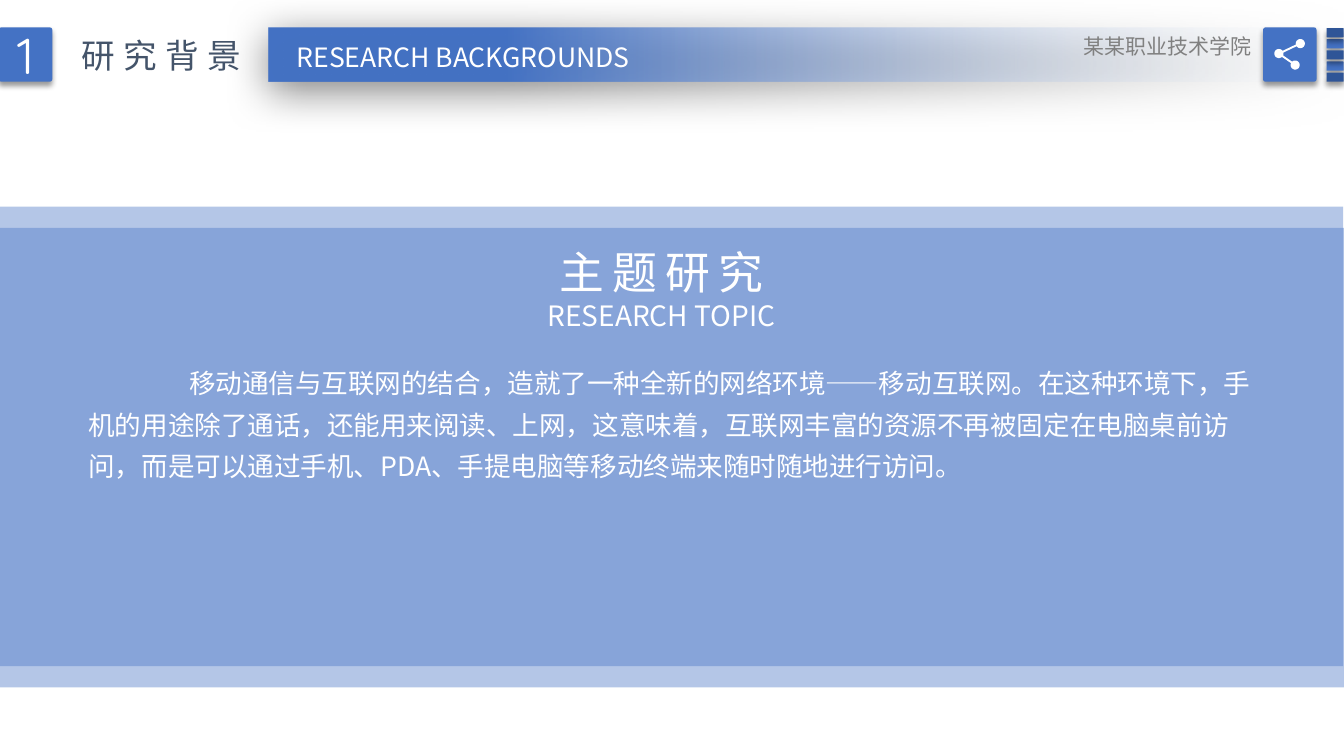
from dataclasses import dataclass
from math import cos, radians, sin

from lxml.etree import SubElement
from pptx import Presentation
from pptx.dml.color import RGBColor
from pptx.enum.shapes import MSO_SHAPE
from pptx.enum.text import MSO_ANCHOR, PP_ALIGN
from pptx.oxml.ns import qn
from pptx.util import Cm, Pt


@dataclass(frozen=True)
class Theme:
    blue: str = "4472C4"
    dark_blue: str = "2F5597"
    pale: str = "F7FAFD"
    slate: str = "44546A"
    gray: str = "808080"
    white: str = "FFFFFF"
    black: str = "000000"
    font: str = "Noto Sans CJK SC"
    number_font: str = "Quicksand"
    number_size: float = 36
    topic_size: float = 32
    title_size: float = 24
    subtitle_size: float = 20
    body_size: float = 19
    small_size: float = 15


THEME = Theme()
BODY = (
    "移动通信与互联网的结合，造就了一种全新的网络环境——移动互联网。"
    "在这种环境下，手机的用途除了通话，还能用来阅读、上网，这意味着，"
    "互联网丰富的资源不再被固定在电脑桌前访问，"
    "而是可以通过手机、PDA、手提电脑等移动终端来随时随地进行访问。"
)


def set_alpha(color_element, percent):
    SubElement(color_element, qn("a:alpha")).set("val", str(percent * 1000))


def add_shadow(shape, alpha, blur, distance, angle):
    effects = SubElement(shape._element.spPr, qn("a:effectLst"))
    shadow = SubElement(effects, qn("a:outerShdw"), {
        "blurRad": str(Pt(blur)), "dist": str(Pt(distance)),
        "dir": str(angle * 60000), "algn": "t", "rotWithShape": "0"})
    set_alpha(SubElement(shadow, qn("a:srgbClr"), val=THEME.black), alpha)


def fill_plain(shape, color):
    shape.fill.solid()
    shape.fill.fore_color.rgb = RGBColor.from_string(color)
    shape.line.fill.background()


def add_panel(slide, left, top):
    """Add one of the two translucent bands that overlap behind the text."""
    panel = slide.shapes.add_shape(
        MSO_SHAPE.RECTANGLE, Cm(left), Cm(top), Cm(33.88), Cm(11.58))
    panel.shadow.inherit = False
    fill_plain(panel, THEME.blue)
    set_alpha(panel._element.spPr.find(qn("a:solidFill"))[0], 40)


def add_header_bar(slide):
    bar = slide.shapes.add_shape(
        MSO_SHAPE.RECTANGLE, Cm(6.78), Cm(0.71), Cm(27.1), Cm(1.35))
    bar.fill.gradient()
    bar.fill.gradient_angle = 180
    stops = bar.fill.gradient_stops
    for stop, color, position in zip(stops, (THEME.pale, THEME.blue), (0, 0.78)):
        stop.color.rgb = RGBColor.from_string(color)
        stop.position = position
    set_alpha(bar._element.spPr.find(".//" + qn("a:srgbClr")), 0)
    bar.line.fill.background()
    add_shadow(bar, 50, 31, 6, 97)


def add_tile(slide, left, top, width, height, color):
    tile = slide.shapes.add_shape(
        MSO_SHAPE.ROUNDED_RECTANGLE, Cm(left), Cm(top), Cm(width), Cm(height))
    tile.adjustments[0] = 0.05
    fill_plain(tile, color)
    add_shadow(tile, 40, 4, 3, 90)
    return tile


def format_paragraph(paragraph, size, color=THEME.white, font=THEME.font,
                     align=PP_ALIGN.LEFT, spacing=0, line_spacing=1.0):
    paragraph.alignment = align
    paragraph.line_spacing = line_spacing
    for run in paragraph.runs:
        run.font.size = Pt(size)
        run.font.name = font
        run.font.color.rgb = RGBColor.from_string(color)
        properties = run.font._element
        properties.set("spc", str(spacing * 100))
        SubElement(properties, qn("a:ea"), typeface=font)


def add_text(slide, left, top, width, height, text, wrap=True):
    box = slide.shapes.add_textbox(Cm(left), Cm(top), Cm(width), Cm(height))
    box.text_frame.word_wrap = wrap
    box.text_frame.text = text
    return box.text_frame.paragraphs


def place_title(slide):
    title = slide.shapes.title
    title.left, title.top, title.width, title.height = map(
        Cm, (1.8, 0.74, 4.78, 1.27))
    frame = title.text_frame
    frame.text = "研究背景"
    frame.word_wrap = False
    frame.vertical_anchor = MSO_ANCHOR.TOP
    format_paragraph(frame.paragraphs[0], THEME.title_size, THEME.slate, spacing=6)


def add_number(slide):
    badge = add_tile(slide, -0.03, 0.69, 1.35, 1.37, THEME.blue)
    frame = badge.text_frame
    frame.text = "1"
    frame.vertical_anchor = MSO_ANCHOR.MIDDLE
    format_paragraph(frame.paragraphs[0], THEME.number_size,
                     font=THEME.number_font, align=PP_ALIGN.CENTER)


def add_stripes(slide):
    for row in (3, 4, 1, 2, 0):
        color = THEME.blue if row % 2 else THEME.dark_blue
        add_tile(slide, 33.43, 0.71 + 0.28 * row, 0.43, 0.23, color)


def arc(center, start, end, radius=0.115, steps=20):
    angles = [radians(start + (end - start) * i / steps) for i in range(steps + 1)]
    return [(Cm(center[0] + radius * cos(a)), Cm(center[1] + radius * sin(a)))
            for a in angles]


def add_share_icon(slide):
    """Draw three joined dots as a single outline on the right-hand tile."""
    add_tile(slide, 31.83, 0.69, 1.35, 1.37, THEME.blue)
    upper, middle, lower = (32.77, 1.1), (32.23, 1.35), (32.64, 1.64)
    outline = (arc(middle, -36, -312) + arc(lower, 204, -132)
               + arc(middle, 24, -12) + arc(upper, 144, -192))
    builder = slide.shapes.build_freeform(*outline[0])
    builder.add_line_segments(outline[1:], close=True)
    icon = builder.convert_to_shape()
    icon.shadow.inherit = False
    fill_plain(icon, THEME.white)


def add_topic(slide):
    heading, = add_text(slide, 4.39, 6.05, 24.56, 2.49, "主题研究")
    format_paragraph(heading, THEME.topic_size, align=PP_ALIGN.CENTER, spacing=6)
    subtitle = heading._parent.add_paragraph()
    subtitle.text = "RESEARCH TOPIC"
    format_paragraph(subtitle, THEME.subtitle_size, align=PP_ALIGN.CENTER)


def add_body(slide):
    paragraph, = add_text(slide, 1.98, 8.89, 29.92, 5.16, BODY)
    format_paragraph(paragraph, THEME.body_size, line_spacing=1.3)
    paragraph._p.get_or_add_pPr().set("indent", str(Cm(2.54)))


def main():
    presentation = Presentation()
    presentation.slide_width, presentation.slide_height = Cm(33.87), Cm(19.05)
    slide = presentation.slides.add_slide(presentation.slide_layouts[5])

    add_panel(slide, 0, 5.74)
    add_panel(slide, -0.03, 5.21)
    add_header_bar(slide)
    add_number(slide)
    place_title(slide)
    english, = add_text(slide, 6.99, 0.91, 9.37, 1.07,
                        "RESEARCH BACKGROUNDS", wrap=False)
    format_paragraph(english, THEME.body_size, align=PP_ALIGN.CENTER)
    add_topic(slide)
    add_stripes(slide)
    add_share_icon(slide)
    school, = add_text(slide, 25.78, 0.71, 6.02, 0.89, "某某职业技术学院")
    format_paragraph(school, THEME.small_size, THEME.gray, align=PP_ALIGN.RIGHT)
    add_body(slide)

    presentation.save("out.pptx")


if __name__ == "__main__":
    main()
